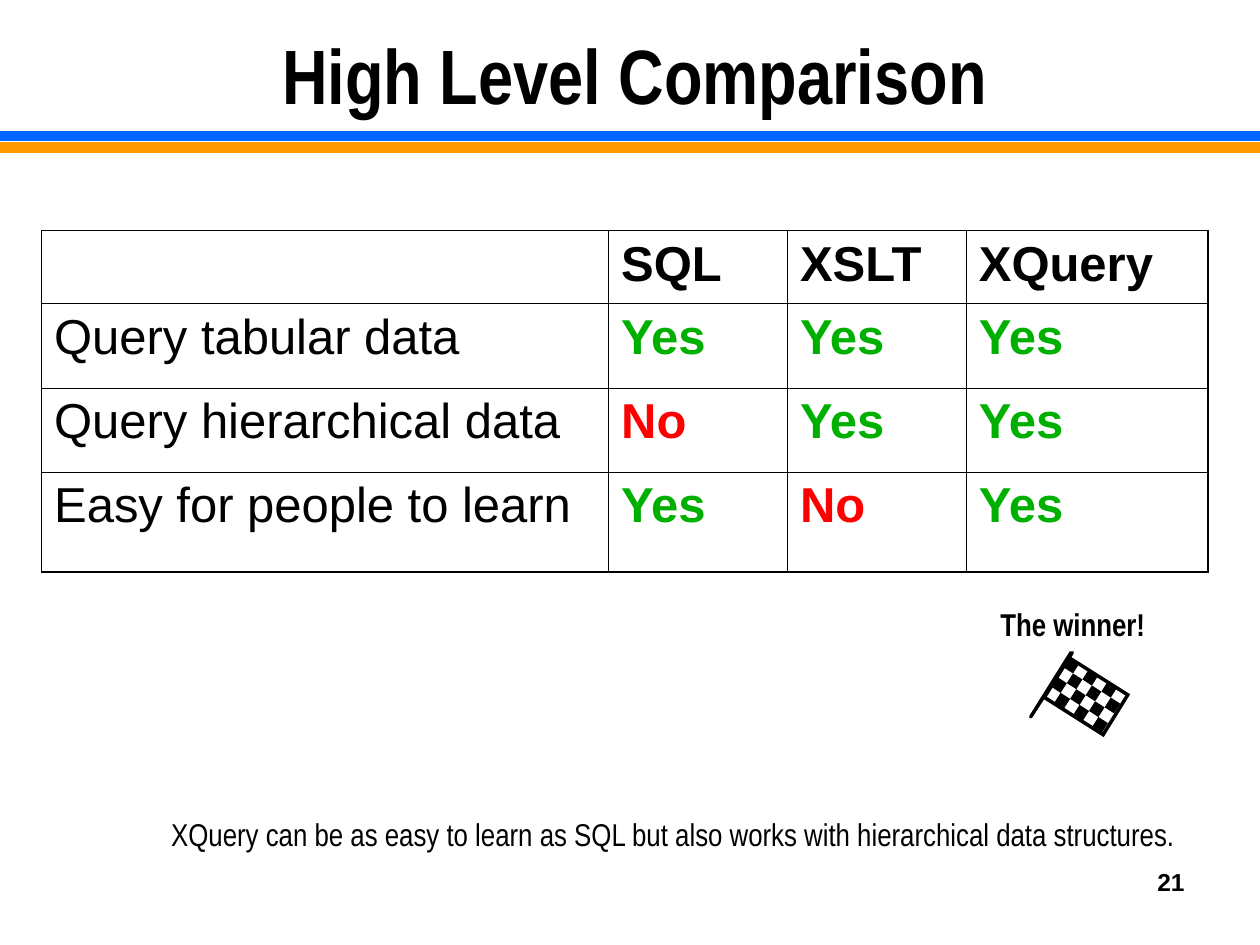
from lxml import etree
from pptx import Presentation
from pptx.dml.color import RGBColor
from pptx.enum.shapes import MSO_CONNECTOR
from pptx.enum.text import MSO_ANCHOR, MSO_AUTO_SIZE, PP_ALIGN
from pptx.oxml.ns import qn
from pptx.util import Inches, Pt

STRAIGHT = MSO_CONNECTOR.STRAIGHT
MIDDLE = MSO_ANCHOR.MIDDLE
NO_FIT = MSO_AUTO_SIZE.NONE
LEFT, CENTER, RIGHT = PP_ALIGN.LEFT, PP_ALIGN.CENTER, PP_ALIGN.RIGHT

BODY, NARROW = "Arial", "Arial Narrow"
BLACK, WHITE, BLUE, ORANGE = "000000", "FFFFFF", "0066FF", "FF9900"
ANSWER_COLORS = {"Yes": "00B000", "No": "FF0000"}
OUTER, INNER = 1.08, 0.45  # table border widths


def rgb(value):
    return RGBColor.from_string(value)


class Deck:
    """Holds the text style and the current slide."""

    def __init__(self):
        self.presentation = Presentation()
        self.presentation.slide_width = Inches(10)
        self.presentation.slide_height = Inches(7.5)
        title_only = self.presentation.slide_layouts[5]
        self.slide = self.presentation.slides.add_slide(title_only)

    def set_text(self, frame, text, size, font=BODY, color=BLACK, bold=False, align=LEFT):
        paragraph = frame.paragraphs[0]
        paragraph.text = text
        paragraph.alignment = align
        paragraph.font.name = font
        paragraph.font.size = Pt(size)
        paragraph.font.bold = bold
        paragraph.font.color.rgb = rgb(color)

    def title(self, text, *box):
        holder = self.slide.shapes.title
        holder.left, holder.top, holder.width, holder.height = map(Inches, box)
        holder.text_frame.auto_size = NO_FIT
        holder.text_frame.vertical_anchor = MIDDLE
        self.set_text(holder.text_frame, text, 44, NARROW, bold=True, align=CENTER)

    def text(self, text, box, size, wrap=False, **style):
        frame = self.slide.shapes.add_textbox(*map(Inches, box)).text_frame
        frame.word_wrap = wrap
        self.set_text(frame, text, size, **style)

    def rule(self, y, color):
        line = self.slide.shapes.add_connector(
            STRAIGHT, 0, Inches(y), Inches(10), Inches(y))
        line.line.color.rgb = rgb(color)
        line.line.width = Pt(6)
        etree.SubElement(line._element.spPr, qn("a:effectLst"))

    def polygon(self, points, color):
        corners = [(Inches(x), Inches(y)) for x, y in points]
        builder = self.slide.shapes.build_freeform(*corners[0])
        builder.add_line_segments(corners[1:], close=True)
        shape = builder.convert_to_shape()
        shape.shadow.inherit = False
        shape.fill.solid()
        shape.fill.fore_color.rgb = rgb(color)
        shape.line.fill.background()

    def borders(self, cell, widths):
        properties = cell._tc.get_or_add_tcPr()
        for side, width in zip("LRTB", widths):
            line = etree.SubElement(properties, qn(f"a:ln{side}"), w=str(Pt(width)))
            fill = etree.SubElement(line, qn("a:solidFill"))
            etree.SubElement(fill, qn("a:srgbClr"), val=BLACK)

    def table(self, rows, left, top, widths, heights):
        last_row, last_column = len(heights) - 1, len(widths) - 1
        table = self.slide.shapes.add_table(
            len(heights), len(widths), Inches(left), Inches(top),
            Inches(sum(widths)), Inches(sum(heights))).table
        table.first_row = table.horz_banding = False
        for column, width in zip(table.columns, widths):
            column.width = Inches(width)
        for r, (height, row) in enumerate(zip(heights, rows)):
            table.rows[r].height = Inches(height)
            for c, text in enumerate(row):
                cell = table.cell(r, c)
                on_edge = (c == 0, c == last_column, r == 0, r == last_row)
                self.borders(cell, [OUTER if edge else INNER for edge in on_edge])
                cell.fill.background()
                cell.margin_left = cell.margin_right = Inches(0.1)
                cell.margin_top = cell.margin_bottom = Inches(0.05)
                self.set_text(cell.text_frame, text, 28, bold=c > 0,
                              color=ANSWER_COLORS.get(text, BLACK))

    def checkered_flag(self):
        # Cloth with a white panel
        self.polygon([(8.48, 5.2), (8.97, 5.51), (8.76, 5.85), (8.27, 5.54)], BLACK)
        self.polygon([(8.49, 5.24), (8.93, 5.52), (8.75, 5.81), (8.31, 5.53)], WHITE)

        # Black squares on a tilted grid
        def grid_point(column, row):
            return (8.49 + 0.075 * column - 0.049 * row,
                    5.22 + 0.048 * column + 0.077 * row)

        for row in range(4):
            for column in range(row % 2, 6, 2):
                steps = ((0, 0), (1, 0), (1, 1), (0, 1))
                self.polygon([grid_point(column + dc, row + dr) for dc, dr in steps],
                             BLACK)

        # Pole
        self.polygon([(8.49, 5.17), (8.17, 5.68), (8.17, 5.7), (8.19, 5.7),
                      (8.52, 5.19), (8.52, 5.17), (8.5, 5.17)], BLACK)


def main():
    deck = Deck()

    # Heading with double rule
    deck.rule(1.17, ORANGE)
    deck.rule(1.08, BLUE)
    deck.title("High Level Comparison", 0.5, 0.17, 9.08, 0.83)

    # Language comparison
    comparison = [
        ("", "SQL", "XSLT", "XQuery"),
        ("Query tabular data", "Yes", "Yes", "Yes"),
        ("Query hierarchical data", "No", "Yes", "Yes"),
        ("Easy for people to learn", "Yes", "No", "Yes"),
    ]
    deck.table(comparison, 0.33, 1.83, (4.5, 1.42, 1.42, 1.92), (0.58, 0.67, 0.67, 0.79))

    # Conclusion and winner
    deck.text("XQuery can be as easy to learn as SQL but also works with "
              "hierarchical data structures.", (1.26, 6.42, 8.18, 0.4), 18, font=NARROW)
    deck.text("The winner!", (7.84, 4.75, 1.35, 0.4), 18, font=NARROW, bold=True)
    deck.checkered_flag()

    # Page number
    deck.text("21", (7.17, 6.83, 2.33, 0.52), 14, wrap=True, bold=True, align=RIGHT)

    deck.presentation.save("out.pptx")


if __name__ == "__main__":
    main()
